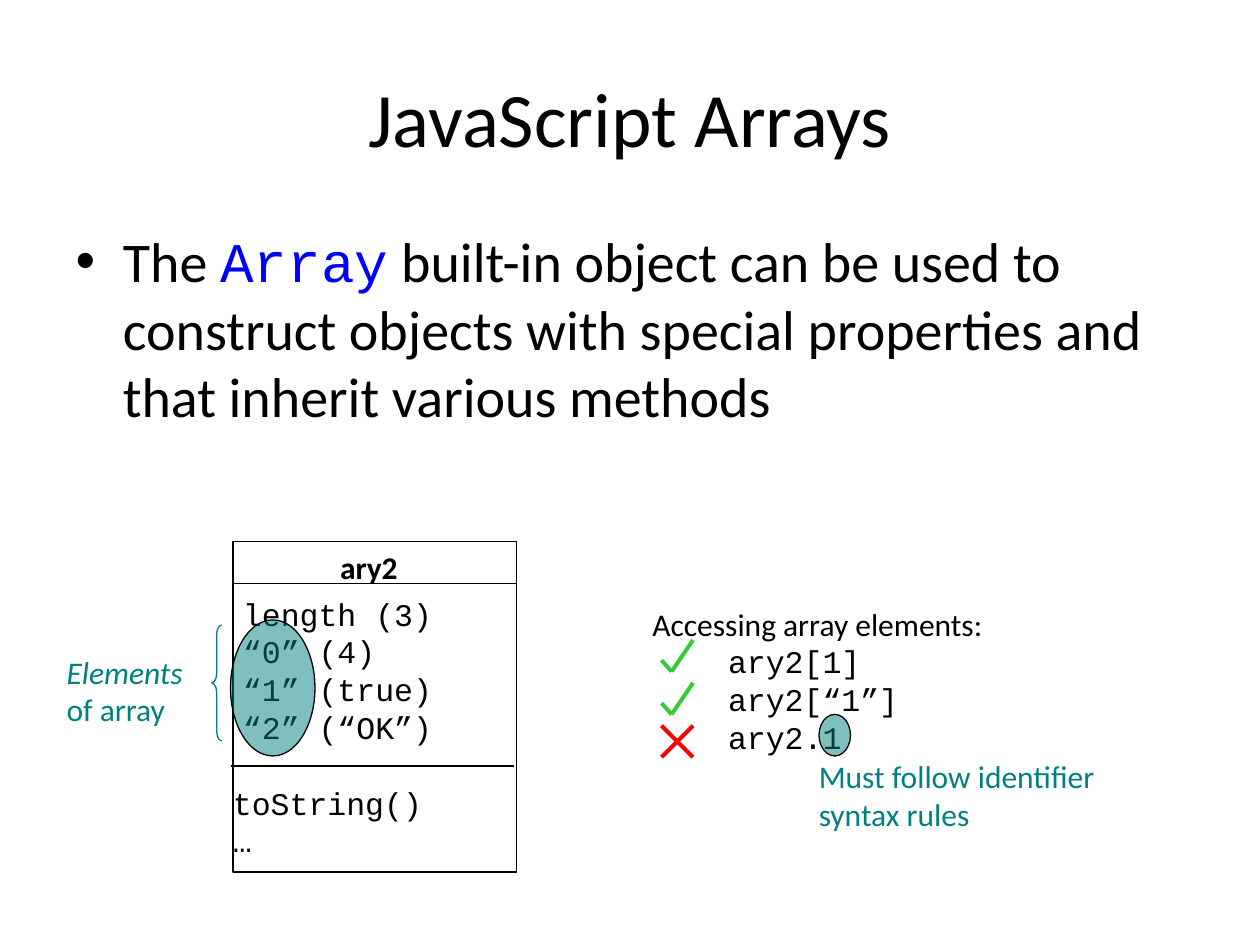
from dataclasses import dataclass

from lxml import etree
from pptx import Presentation
from pptx import util as u
from pptx.dml.color import RGBColor
from pptx.enum import shapes, text
from pptx.oxml import ns

PX_PER_INCH = 100


@dataclass(frozen=True)
class Theme:
    ink: str = "000000"
    code: str = "0000FF"
    accent: str = "008080"
    right: str = "33CC33"
    wrong: str = "FF0000"
    sans: str = "Calibri"
    mono: str = "Courier New"
    title_size: int = 44
    body_size: int = 32
    label_size: int = 18
    thin: float = 0.75
    thick: float = 2.25


THEME = Theme()


def px(length):
    return u.Emu(length * u.Inches(1) // PX_PER_INCH)


def place(shape, box):
    shape.left, shape.top, shape.width, shape.height = map(px, box)


def style(run, size, face=THEME.sans, color=THEME.ink, bold=None, italic=None):
    font = run.font
    font.size, font.name = u.Pt(size), face
    font.color.rgb = RGBColor.from_string(color)
    font.bold, font.italic = bold, italic


def add_line(slide, start, end, color=THEME.ink, width=THEME.thin):
    line = slide.shapes.add_connector(
        shapes.MSO_CONNECTOR.STRAIGHT, *map(px, (*start, *end)))
    line.line.color.rgb = RGBColor.from_string(color)
    line.line.width = u.Pt(width)
    etree.SubElement(line._element.spPr, ns.qn("a:effectLst"))


def add_outline(slide, kind, box, color=THEME.ink):
    shape = slide.shapes.add_shape(kind, *map(px, box))
    shape.shadow.inherit = False
    shape.fill.background()
    shape.line.color.rgb = RGBColor.from_string(color)
    shape.line.width = u.Pt(THEME.thin)
    return shape


def add_highlight(slide, box):
    """Half-transparent ellipse laid over the text it marks."""
    ellipse = add_outline(slide, shapes.MSO_SHAPE.OVAL, box)
    ellipse.fill.solid()
    ellipse.fill.fore_color.rgb = RGBColor.from_string(THEME.accent)
    color = ellipse._element.spPr.find(ns.qn("a:solidFill"))[0]
    etree.SubElement(color, ns.qn("a:alpha"), val="50000")


def add_label(slide, box, lines, **look):
    """Unwrapped text box with one paragraph for each line."""
    label = slide.shapes.add_textbox(*map(px, box))
    frame = label.text_frame
    frame.word_wrap = False
    frame.auto_size = text.MSO_AUTO_SIZE.SHAPE_TO_FIT_TEXT
    frame.text = "\n".join(lines)
    for paragraph in frame.paragraphs:
        for run in paragraph.runs:
            style(run, THEME.label_size, **look)
    return frame


def fill_title(slide, box):
    title = slide.shapes.title
    place(title, box)
    title.text_frame.text = "JavaScript Arrays"
    title.text_frame.vertical_anchor = text.MSO_ANCHOR.MIDDLE
    paragraph = title.text_frame.paragraphs[0]
    paragraph.alignment = text.PP_ALIGN.CENTER
    style(paragraph.runs[0], THEME.title_size)


def fill_body(slide, box):
    body = slide.placeholders[1]
    place(body, box)
    paragraph = body.text_frame.paragraphs[0]
    paragraph.space_before = u.Pt(0)
    parts = (
        ("The ", {}),
        ("Array", {"face": THEME.mono, "color": THEME.code}),
        (" built-in object can be used to construct objects with special "
         "properties and that inherit various methods", {}),
    )
    for words, look in parts:
        run = paragraph.add_run()
        run.text = words
        style(run, THEME.body_size, **look)


def add_object_diagram(slide, box):
    left, top, width, height = box
    add_outline(slide, shapes.MSO_SHAPE.RECTANGLE, box)
    for x, y in ((left, top + 33), (left - 2, top + 178)):
        add_line(slide, (x, y), (x + width, y))
    add_label(slide, (left + 75, top, 72, 40), ["ary2"], bold=True)
    add_label(slide, (left - 2, top + 37, 171, 130),
              ["length (3)", "“0” (4)", "“1” (true)", "“2” (“OK”)"],
              face=THEME.mono)
    add_label(slide, (left - 10, top + 187, 171, 70), ["toString()", "…"],
              face=THEME.mono)
    brace = add_outline(slide, shapes.MSO_SHAPE.LEFT_BRACE,
                        (left - 17, top + 66, 8, 92), THEME.accent)
    brace.adjustments[0] = 0.92
    caption = add_label(slide, (left - 142, top + 83, 124, 70),
                        ["Elements", "of array"], color=THEME.accent)
    caption.paragraphs[0].runs[0].font.italic = True
    add_highlight(slide, (left - 2, top + 62, 67, 108))


def add_check(slide, box):
    left, top, width, height = box
    corner = (left + width // 3, top + height)
    add_line(slide, (left, top + height * 2 // 3), corner,
             THEME.right, THEME.thick)
    add_line(slide, corner, (left + width, top), THEME.right, THEME.thick)


def add_cross(slide, box):
    left, top, width, height = box
    right, bottom = left + width, top + height
    add_line(slide, (left, top), (right, bottom), THEME.wrong, THEME.thick)
    add_line(slide, (right, top), (left, bottom), THEME.wrong, THEME.thick)


def add_access_examples(slide, box):
    left, top, width, height = box
    frame = add_label(slide, box, [
        "Accessing array elements:",
        "    ary2[1]\v    ary2[“1”]",
        "    ary2.1",
    ])
    for paragraph in frame.paragraphs[1:]:
        for run in paragraph.runs:
            run.font.name = THEME.mono
    for row, add_mark in enumerate((add_check, add_check, add_cross)):
        add_mark(slide, (left + 17, top + 33 + row * 34, 25, 25))
    add_highlight(slide, (left + 142, top + 92, 25, 33))
    add_label(slide, (left + 132, top + 121, 247, 70),
              ["Must follow identifier", "syntax rules"], color=THEME.accent)


def main():
    presentation = Presentation()
    presentation.slide_width, presentation.slide_height = px(1000), px(750)
    slide = presentation.slides.add_slide(presentation.slide_layouts[1])
    fill_title(slide, (50, 30, 900, 125))
    fill_body(slide, (50, 175, 900, 495))
    add_object_diagram(slide, (185, 430, 225, 262))
    add_access_examples(slide, (508, 475, 313, 130))
    presentation.save("out.pptx")


if __name__ == "__main__":
    main()
